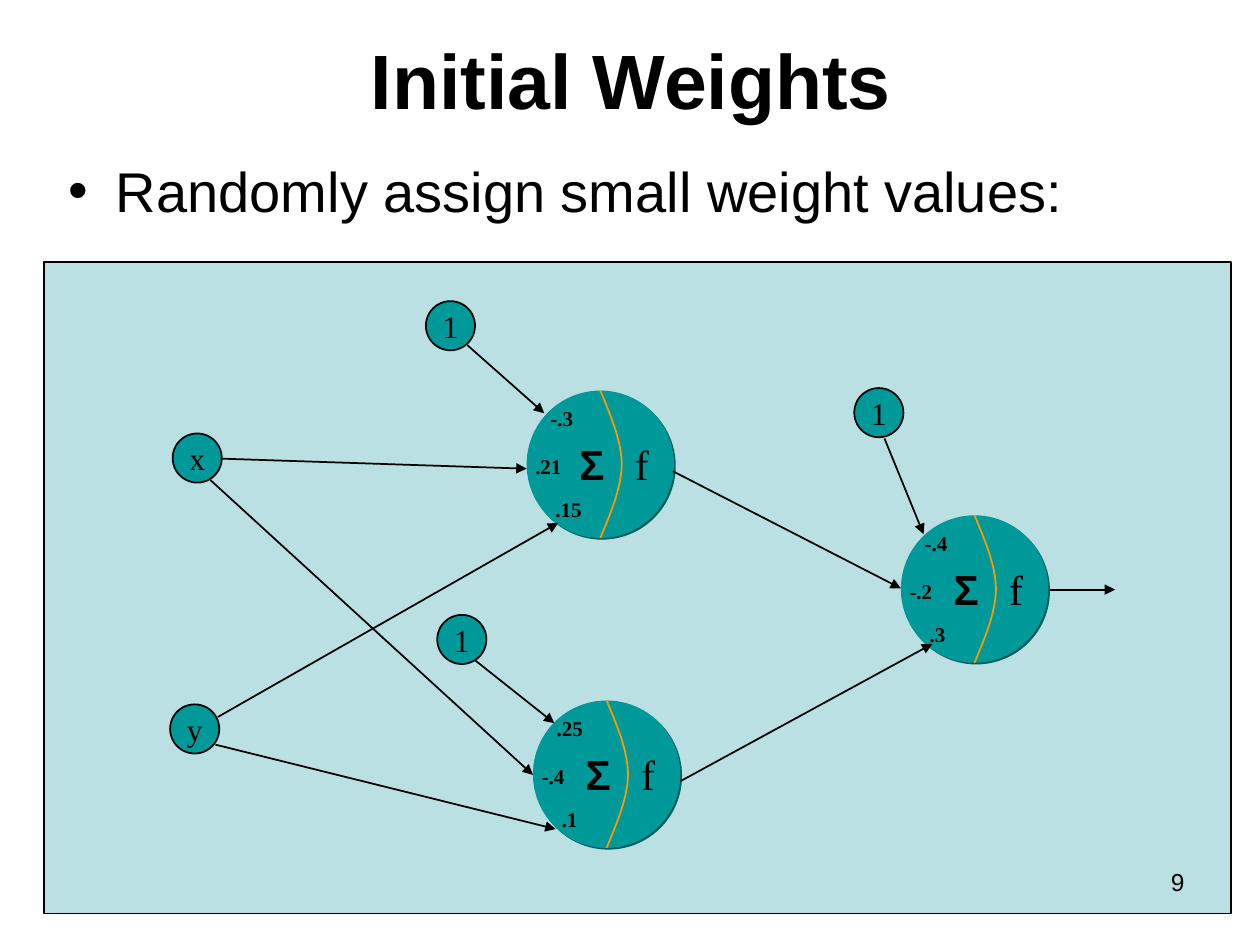
from dataclasses import dataclass

from lxml import etree
from pptx import Presentation
from pptx import util as u
from pptx.dml.color import RGBColor
from pptx.enum import shapes, text
from pptx.oxml import ns


@dataclass(frozen=True)
class Theme:
    ink: str = "000000"
    panel: str = "BBE0E3"
    node: str = "009999"
    shade: str = "005B5B"
    curve: str = "FF9900"
    sans: str = "Arial"
    serif: str = "Times New Roman"
    title: int = 44
    body: int = 32
    symbol: int = 24
    node_label: int = 18
    number: int = 14
    weight: int = 12


INPUT_SIZE = 0.39
NEURON_SIZE = 1.17
GLYPH_WIDTHS = {"-": 0.055, ".": 0.042}
WEIGHT_OFFSETS = [(0.09, 0.07), (-0.03, 0.45), (0.13, 0.79)]


def child(parent, tag, **attributes):
    return etree.SubElement(parent, ns.qn(tag), attributes)


class NetworkSlide:
    """Draws a neural network on one slide in a single style."""

    def __init__(self, deck, theme):
        self.theme = theme
        self.slide = deck.slides.add_slide(deck.slide_layouts[1])
        self.shapes = self.slide.shapes

    def letter(self, holder, words, size, face, bold=False, align=None, **frame_format):
        frame = holder.text_frame
        for name, value in frame_format.items():
            setattr(frame, name, value)
        frame.text = words
        line = frame.paragraphs[0]
        line.alignment = align
        font_format = {"size": u.Pt(size), "name": face, "bold": bold}
        for name, value in font_format.items():
            setattr(line.runs[0].font, name, value)
        line.runs[0].font.color.rgb = RGBColor.from_string(self.theme.ink)
        return line

    def place(self, holder, *box):
        for name, value in zip(("left", "top", "width", "height"), box):
            setattr(holder, name, u.Inches(value))
        return holder

    def title(self, words):
        heading = self.place(self.shapes.title, 0.51, 0, 9, 1.25)
        self.letter(heading, words, self.theme.title, self.theme.sans, True,
                    text.PP_ALIGN.CENTER, vertical_anchor=text.MSO_ANCHOR.MIDDLE)

    def bullet(self, words):
        body = self.place(self.slide.placeholders[1], 0.44, 1.19, 9, 4.95)
        line = self.letter(body, words, self.theme.body, self.theme.sans,
                           vertical_anchor=text.MSO_ANCHOR.TOP)
        line.space_before = u.Pt(0)
        properties = line._p.get_or_add_pPr()
        properties.set("marL", str(u.Inches(0.38)))
        properties.set("indent", str(u.Inches(-0.38)))
        child(properties, "a:buChar", char="•")

    def label(self, words, left, top, width, height, size, face, bold=False,
              align=text.PP_ALIGN.LEFT, wrap=False):
        box = self.shapes.add_textbox(*map(u.Inches, (left, top, width, height)))
        self.letter(box, words, size, face, bold, align, word_wrap=wrap)

    def solid(self, preset, left, top, width, height, fill, border=None):
        solid = self.shapes.add_shape(preset, *map(u.Inches, (left, top, width, height)))
        solid.fill.solid()
        solid.fill.fore_color.rgb = RGBColor.from_string(fill)
        if border:
            solid.line.color.rgb = RGBColor.from_string(self.theme.ink)
            solid.line.width = u.Pt(border)
        else:
            solid.line.fill.background()
        solid.shadow.inherit = False
        return solid

    def input_node(self, words, left, top):
        node = self.solid(shapes.MSO_SHAPE.OVAL, left, top, INPUT_SIZE, INPUT_SIZE,
                          self.theme.node, 1)
        self.letter(node, words, self.theme.node_label, self.theme.serif,
                    align=text.PP_ALIGN.CENTER, word_wrap=False,
                    vertical_anchor=text.MSO_ANCHOR.MIDDLE)

    def divider(self, left, top):
        steps = 12
        half = NEURON_SIZE / 2
        bulge = []
        for step in range(steps + 1):
            t = step / steps
            bulge.append(0.24 * t * (1 - t) ** 2 + 0.5 * t ** 2 * (1 - t) + 0.17 * t ** 3)
        points = [(u.Inches(left + x), u.Inches(top + half * step / steps))
                  for step, x in enumerate(bulge + bulge[-2::-1])]
        outline = self.shapes.build_freeform(*points[0])
        outline.add_line_segments(points[1:], close=False)
        curve = outline.convert_to_shape()
        curve.fill.background()
        curve.line.color.rgb = RGBColor.from_string(self.theme.curve)
        curve.line.width = u.Pt(1)
        curve.shadow.inherit = False

    def neuron(self, left, top, weights):
        theme = self.theme
        disc = self.solid(shapes.MSO_SHAPE.OVAL, left, top, NEURON_SIZE, NEURON_SIZE, theme.node)
        effects = disc._element.spPr.find(ns.qn("a:effectLst"))
        shadow = child(effects, "a:outerShdw", dist=str(u.Pt(1.4)), dir="2700000",
                       algn="ctr", rotWithShape="0")
        child(shadow, "a:srgbClr", val=theme.shade)
        self.divider(left + NEURON_SIZE / 2, top)
        self.label("f", left + 0.76, top + 0.33, 0.31, 0.5, theme.symbol, theme.serif)
        self.label("Σ", left + 0.32, top + 0.33, 0.39, 0.5, theme.symbol, theme.sans, True)
        for weight, (dx, dy) in zip(weights, WEIGHT_OFFSETS):
            width = 0.2 + sum(GLYPH_WIDTHS.get(glyph, 0.083) for glyph in weight)
            self.label(weight, left + dx, top + dy, width, 0.3, theme.weight, theme.serif, True)

    def arrow(self, *ends):
        arrow = self.shapes.add_connector(shapes.MSO_CONNECTOR.STRAIGHT, *map(u.Inches, ends))
        arrow.line.color.rgb = RGBColor.from_string(self.theme.ink)
        arrow.line.width = u.Pt(1)
        properties = arrow._element.spPr
        child(properties.find(ns.qn("a:ln")), "a:tailEnd", type="triangle")
        child(properties, "a:effectLst")


def main():
    deck = Presentation()
    deck.slide_width, deck.slide_height = u.Inches(10), u.Inches(7.5)
    theme = Theme()
    network = NetworkSlide(deck, theme)
    network.title("Initial Weights")
    network.bullet("Randomly assign small weight values:")
    network.solid(shapes.MSO_SHAPE.RECTANGLE, 0.35, 2.08, 9.42, 5.17, theme.panel, 0.75)

    neurons = [
        (4.18, 3.1, ("-.3", ".21", ".15")),
        (4.23, 5.56, (".25", "-.4", ".1")),
        (7.15, 4.09, ("-.4", "-.2", ".3")),
    ]
    for neuron in neurons:
        network.neuron(*neuron)

    inputs = [("x", 1.37, 3.44), ("y", 1.35, 5.59),
              ("1", 3.38, 2.39), ("1", 3.47, 4.88), ("1", 6.78, 3.08)]
    for source in inputs:
        network.input_node(*source)

    links = [
        (3.77, 5.24, 4.4, 5.74),
        (3.71, 2.74, 4.32, 3.28),
        (1.75, 3.64, 4.18, 3.72),
        (1.67, 3.81, 4.23, 6.15),
        (1.73, 5.69, 4.43, 4.15),
        (1.71, 5.91, 4.41, 6.58),
        (7.02, 3.48, 7.33, 4.24),
        (5.34, 3.74, 7.15, 4.67),
        (5.4, 6.2, 7.4, 5.11),
        (8.33, 4.68, 8.85, 4.68),
    ]
    for link in links:
        network.arrow(*link)

    network.label("9", 7.17, 6.83, 2.33, 0.52, theme.number, theme.sans,
                  align=text.PP_ALIGN.RIGHT, wrap=True)
    deck.save("out.pptx")


if __name__ == "__main__":
    main()
